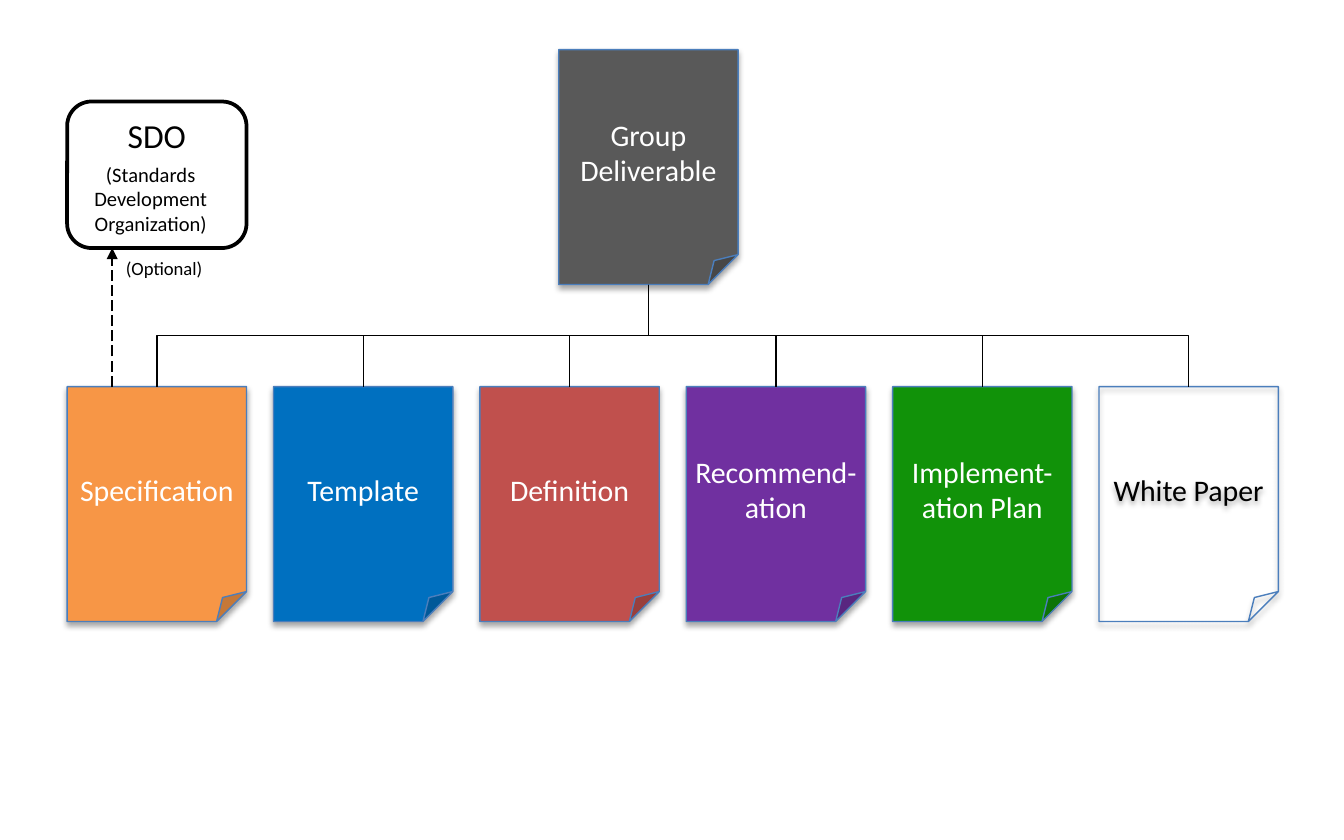
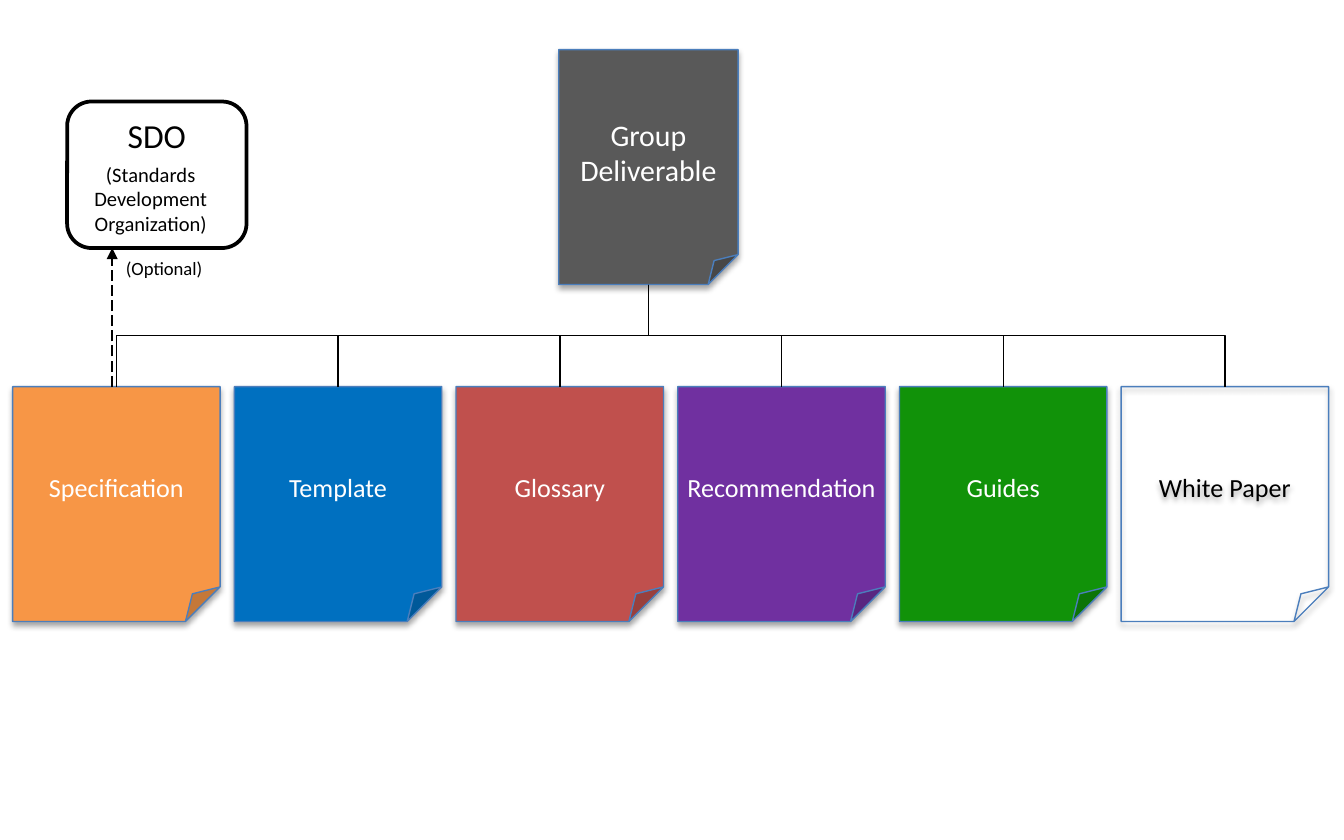
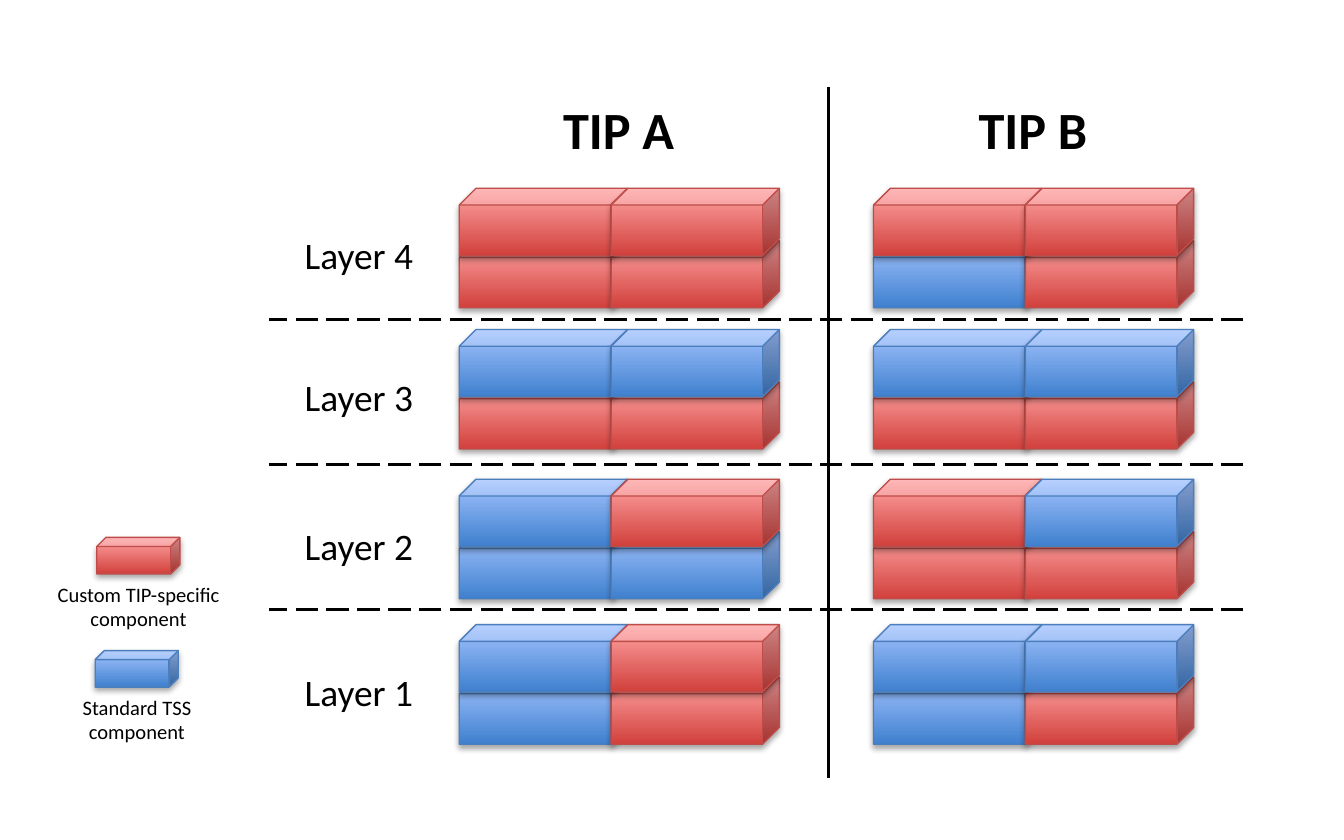
from lxml import etree
from pptx import Presentation
from pptx import util as u
from pptx.dml.color import RGBColor
from pptx.enum import dml, shapes, text
from pptx.oxml import ns

Cm, Pt = u.Cm, u.Pt

BLACK = RGBColor(0x00, 0x00, 0x00)
WHITE = RGBColor(0xFF, 0xFF, 0xFF)
GREY = RGBColor(0x59, 0x59, 0x59)
ORANGE = RGBColor(0xF7, 0x96, 0x46)
BLUE = RGBColor(0x00, 0x70, 0xC0)
RED = RGBColor(0xC0, 0x50, 0x4D)
PURPLE = RGBColor(0x70, 0x30, 0xA0)
GREEN = RGBColor(0x11, 0x92, 0x09)
BLUE_EDGE = RGBColor(0x4B, 0x7E, 0xBC)
RED_EDGE = RGBColor(0xBF, 0x4C, 0x48)

FONT = "Calibri"
CENTER, LEFT = text.PP_ALIGN.CENTER, text.PP_ALIGN.LEFT

# Cube kinds: S is standard, C is custom (bottom colour, top colour, edge)
CUBE_COLOURS = {
    "S": (RGBColor(0x3F, 0x80, 0xCE), RGBColor(0xA4, 0xC4, 0xFF), BLUE_EDGE),
    "C": (RGBColor(0xD1, 0x40, 0x3C), RGBColor(0xFF, 0xA6, 0xA5), RED_EDGE),
}


def add_label(page, words, left, top, width, height, size, align=CENTER, bold=False):
    box = page.shapes.add_textbox(Cm(left), Cm(top), Cm(width), Cm(height))
    box.text_frame.word_wrap = True
    box.text_frame.auto_size = text.MSO_AUTO_SIZE.SHAPE_TO_FIT_TEXT
    para = box.text_frame.paragraphs[0]
    para.text = words
    para.alignment = align
    para.font.name, para.font.size, para.font.bold = FONT, Pt(size), bold
    para.font.color.rgb = BLACK


def add_cube(page, kind, left, top, width, height):
    """Add a shaded cube that keeps the soft shadow of the theme."""
    cube = page.shapes.add_shape(
        shapes.MSO_SHAPE.CUBE, Cm(left), Cm(top), Cm(width), Cm(height))
    bottom_colour, top_colour, edge = CUBE_COLOURS[kind]
    cube.fill.gradient()
    cube.fill.gradient_angle = 90
    for stop, colour, position in zip(
            cube.fill.gradient_stops, (bottom_colour, top_colour), (0, 1)):
        stop.color.rgb = colour
        stop.position = position
    cube.line.color.rgb = edge
    cube.line.width = Pt(0.75)


deck = Presentation()
deck.slide_width, deck.slide_height = Cm(25.4), Cm(15.88)
blank = deck.slide_layouts[6]
lines = []  # (connector, width in points, dashed)

# Two versions of the deliverables tree
child_fills = (ORANGE, BLUE, RED, PURPLE, GREEN, None)
trees = (
    (("Specification", "Template", "Definition", "Recommend-ation",
      "Implement-ation Plan", "White Paper"), 1.27, 3.9, 3.39, 16),
    (("Specification", "Template", "Glossary", "Recommendation",
      "Guides", "White Paper"), 0.24, 4.19, 3.92, 14),
)
for names, first_left, step, child_width, child_size in trees:
    page = deck.slides.add_slide(blank)
    documents = [("Group\vDeliverable", GREY, 10.56, 0.94, 3.39, 16)]
    for i, (name, fill) in enumerate(zip(names, child_fills)):
        documents.append((name, fill, first_left + i * step, 7.31, child_width, child_size))

    sheets = []
    for name, fill, left, top, width, size in documents:
        sheet = page.shapes.add_shape(
            shapes.MSO_SHAPE.FOLDED_CORNER, Cm(left), Cm(top), Cm(width), Cm(4.44))
        if fill is None:
            sheet.fill.background()
        else:
            sheet.fill.solid()
            sheet.fill.fore_color.rgb = fill
        sheet.line.color.rgb = BLUE_EDGE
        sheet.line.width = Pt(0.75)
        frame = sheet.text_frame
        frame.margin_left = frame.margin_right = 0
        frame.word_wrap = True
        para = frame.paragraphs[0]
        para.text = name
        para.alignment = CENTER
        para.font.name, para.font.size = FONT, Pt(size)
        para.font.color.rgb = BLACK if fill is None else WHITE
        sheets.append(sheet)

    # Elbows leave the parent downwards, so each one is turned by a quarter
    parent, *children = sheets
    for child in children:
        elbow = page.shapes.add_connector(shapes.MSO_CONNECTOR.ELBOW, 0, 0, 0, 0)
        elbow.begin_connect(parent, 2)
        elbow.end_connect(child, 0)
        start_x, start_y = parent.left + parent.width // 2, parent.top + parent.height
        run, drop = child.left + child.width // 2 - start_x, child.top - start_y
        elbow.left = start_x + (run - drop) // 2
        elbow.top = start_y + (drop - abs(run)) // 2
        elbow.width, elbow.height = drop, abs(run)
        turn = elbow.element.spPr.xfrm
        turn.flipH = run > 0
        turn.rot = 270 if run > 0 else 90
        lines.append((elbow, 0.75, False))

    sdo = page.shapes.add_shape(
        shapes.MSO_SHAPE.ROUNDED_RECTANGLE, Cm(1.27), Cm(1.92), Cm(3.39), Cm(2.77))
    sdo.shadow.inherit = False
    sdo.fill.background()
    sdo.line.color.rgb = BLACK
    sdo.line.width = Pt(2)
    sdo.text_frame.vertical_anchor = text.MSO_ANCHOR.TOP
    para = sdo.text_frame.paragraphs[0]
    para.text = "SDO"
    para.alignment = CENTER
    para.font.name, para.font.size = FONT, Pt(18)
    para.font.color.rgb = BLACK
    add_label(page, "(Standards Development Organization)", 1.48, 2.93, 2.74, 1.68, 11)

    arrow = page.shapes.add_connector(
        shapes.MSO_CONNECTOR.STRAIGHT, Cm(2.12), Cm(7.31), Cm(2.12), Cm(4.69))
    etree.SubElement(arrow.element.spPr.get_or_add_ln(), ns.qn("a:tailEnd"), type="triangle")
    lines.append((arrow, 0.75, True))
    add_label(page, "(Optional)", 2.13, 4.74, 2.06, 0.69, 10, LEFT)

# Layers of components in two TIPs
page = deck.slides.add_slide(blank)
for i in range(3):
    y = Cm(6.04 + i * 2.74)
    divider = page.shapes.add_connector(
        shapes.MSO_CONNECTOR.STRAIGHT, Cm(23.5), y, Cm(5.08), y)
    lines.append((divider, 1.5, True))

tips = (("TIP A", 8.68), ("TIP B", 16.51))
# Each layer: name, top, then (upper row, lower row) for each TIP
layers = (
    ("Layer 4", 3.56, (("CC", "CC"), ("CC", "SC"))),
    ("Layer 3", 6.23, (("SS", "CC"), ("SS", "CC"))),
    ("Layer 2", 9.06, (("SC", "SS"), ("CS", "CC"))),
    ("Layer 1", 11.81, (("SC", "SC"), ("SS", "SC"))),
)
for name, top, stacks in layers:
    add_label(page, name, 5.51, top + 0.71, 2.74, 1.12, 20, LEFT)
    for (_, left), (upper, lower) in zip(tips, stacks):
        for row, row_top in ((lower, top + 0.99), (upper, top)):
            for i, kind in enumerate(row):
                add_cube(page, kind, left + i * 2.87, row_top, 3.18, 1.27)

separator = page.shapes.add_connector(
    shapes.MSO_CONNECTOR.STRAIGHT, Cm(15.66), Cm(14.7), Cm(15.66), Cm(1.65))
lines.append((separator, 1.5, False))
for name, left in tips:
    add_label(page, name, left - 0.04, 1.71, 6.1, 1.45, 28, bold=True)

legend = (("S", "Standard TSS component", 1.8, 12.3),
          ("C", "Custom TIP-specific component", 1.83, 10.16))
for kind, words, left, top in legend:
    add_cube(page, kind, left, top, 1.57, 0.69)
    add_label(page, words, left - 1.18, top + 0.71, 3.94, 1.19, 11)

# All lines are black and without shadow
for line, width, dashed in lines:
    line.line.color.rgb = BLACK
    line.line.width = Pt(width)
    if dashed:
        line.line.dash_style = dml.MSO_LINE.LONG_DASH
    etree.SubElement(line.element.spPr, ns.qn("a:effectLst"))

deck.save("out.pptx")
